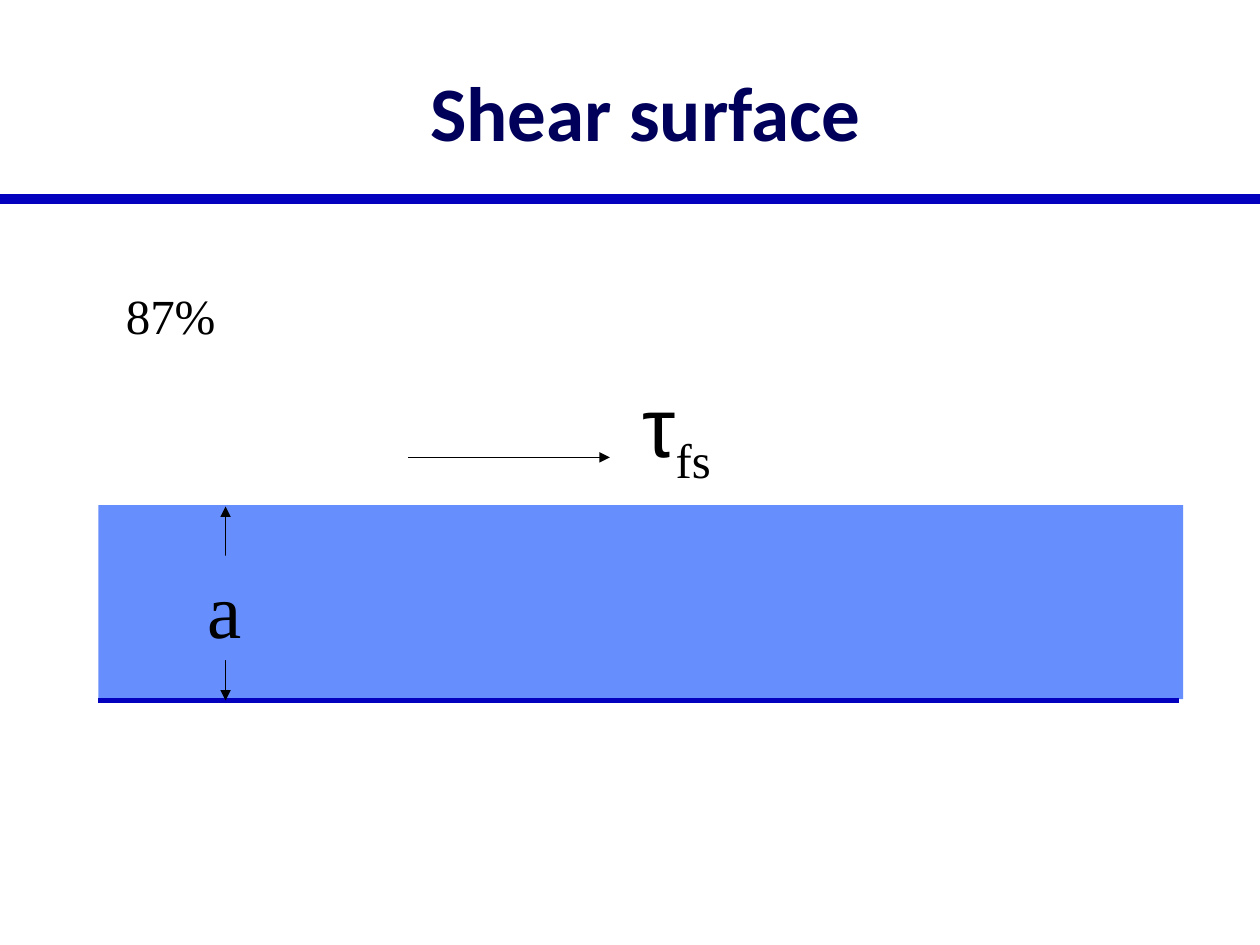
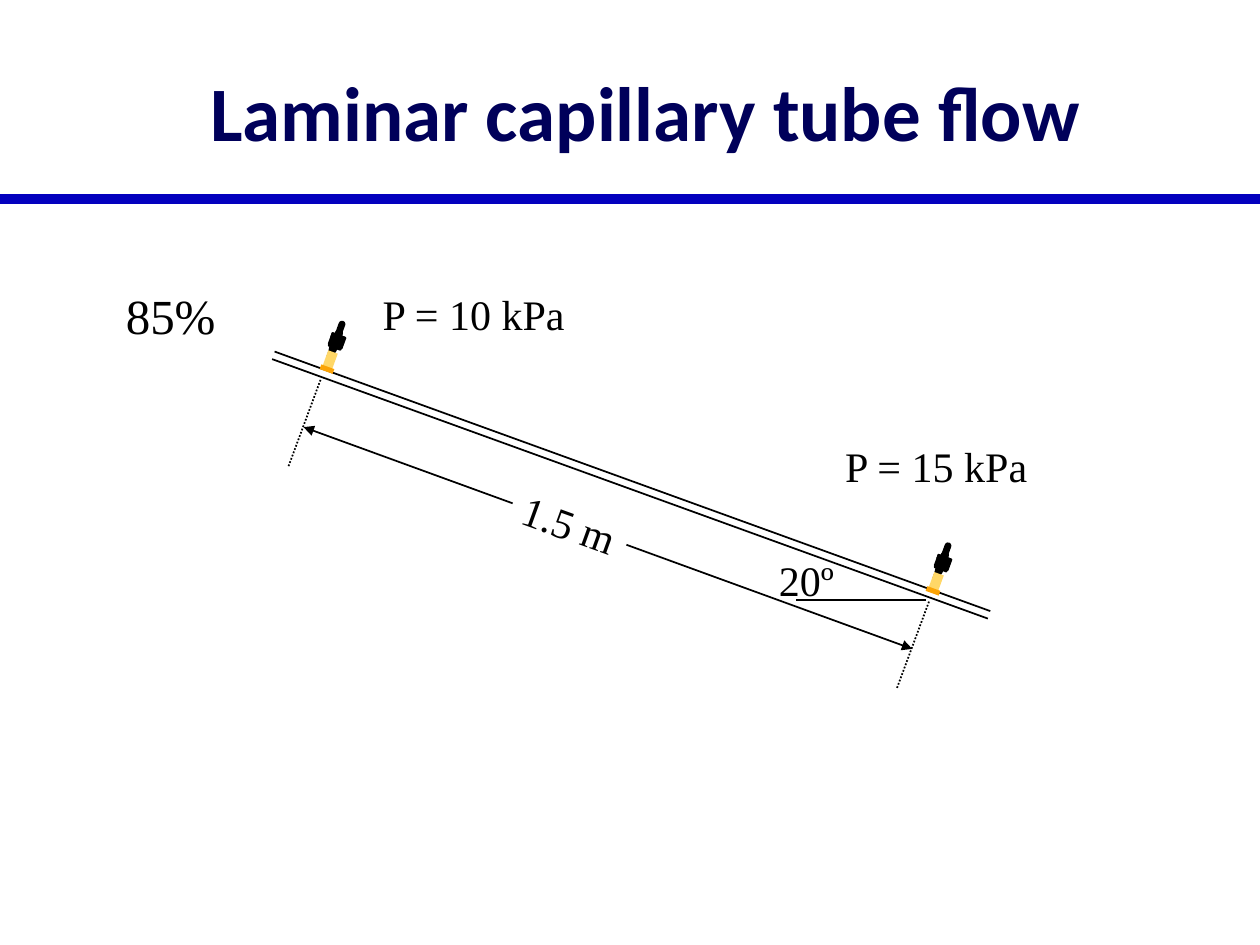
from collections import namedtuple

from lxml import etree
from pptx import Presentation
from pptx.dml.color import RGBColor
from pptx.enum import dml, shapes, text
from pptx.oxml import ns
from pptx.util import Pt

NAVY = RGBColor(0x00, 0x00, 0x5A)
BLUE = RGBColor(0x03, 0x00, 0xBE)
FLUID = RGBColor(0x67, 0x8E, 0xFD)
BLACK = RGBColor(0, 0, 0)
WHITE = RGBColor(255, 255, 255)
YELLOW = RGBColor(0xFF, 0xD7, 0x67)
ORANGE = RGBColor(0xFB, 0xA3, 0x05)

SERIF = "Times New Roman"
SLOPE = 20
RECT = shapes.MSO_SHAPE.RECTANGLE
ROUND = shapes.MSO_SHAPE.ROUNDED_RECTANGLE

Box = namedtuple("Box", "left top width height")
SLIDE = Box(0, 0, 720, 540)
TITLE = Box(36, 18, 666, 90)
SCORE = Box(64.8, 159.8, 65.5, 41)
FILM = Box(56.2, 288.7, 619.9, 110.9)
TUBE = Box(155.5, 161.3, 410.4, 232)

GAUGE_PARTS = [
    (RECT, Box(5.8, 7.9, 7.9, 6.5), BLACK, True),
    (ROUND, Box(5, 13.7, 2.9, 8.6), BLACK, True),
    (RECT, Box(5, 13, 7.2, 2.2), BLACK, True),
    (ROUND, Box(5.8, 12.2, 3.6, 5.8), BLACK, True),
    (ROUND, Box(10.1, 0, 2.9, 8.6), BLACK, True),
    (RECT, Box(6.5, 7.9, 7.2, 2.2), BLACK, True),
    (ROUND, Box(8.6, 5, 3.6, 5.8), BLACK, True),
    (RECT, Box(2.9, 17.3, 5.8, 9.4), YELLOW, False),
    (RECT, Box(0, 25.9, 7.9, 2.9), ORANGE, False),
]


def inside(box, left, top, width=0, height=0):
    """Return a box placed relative to the corner of another box."""
    return Box(box.left + left, box.top + top, width, height)


def add_line(page, box, start, end, color=BLACK, width=1, ends="", dash=None):
    """Draw a line between two points of a box, with arrowheads at the named ends."""
    points = [Pt(origin + offset) for point in (start, end)
              for origin, offset in zip((box.left, box.top), point)]
    line = page.shapes.add_connector(shapes.MSO_CONNECTOR.STRAIGHT, *points)
    line.line.color.rgb = color
    line.line.width = Pt(width)
    if dash:
        line.line.dash_style = dash
    outline = line.line._get_or_add_ln()
    for end_name in ("headEnd", "tailEnd"):
        if end_name in ends:
            etree.SubElement(outline, ns.qn("a:" + end_name), type="triangle")
    etree.SubElement(line._element.spPr, ns.qn("a:effectLst"))


def add_block(page, kind, box, fill, outlined=False, rotation=0):
    """Draw a filled preset shape."""
    block = page.shapes.add_shape(kind, *map(Pt, box))
    block.shadow.inherit = False
    block.rotation = rotation
    block.fill.solid()
    block.fill.fore_color.rgb = fill
    if kind == ROUND:
        block.adjustments[0] = 0.5
    if outlined:
        block.line.color.rgb = fill
        block.line.width = Pt(1)
    else:
        block.line.fill.background()
    return block


def style_span(span, size, font=SERIF, color=BLACK, bold=False):
    """Set the font of a run."""
    span.font.size = Pt(size)
    span.font.name = font
    span.font.color.rgb = color
    span.font.bold = bold


def write(shape, words, size, centred=True, wrap=False, **style):
    """Write one styled paragraph into a shape."""
    frame = shape.text_frame
    frame.text = words
    frame.word_wrap = wrap
    middle, top = text.MSO_ANCHOR.MIDDLE, text.MSO_ANCHOR.TOP
    frame.vertical_anchor = middle if centred else top
    para = frame.paragraphs[0]
    para.alignment = text.PP_ALIGN.CENTER if centred else text.PP_ALIGN.LEFT
    style_span(para.runs[0], size, **style)
    return para


def add_label(page, box, words, size, **style):
    """Add a text box with one paragraph."""
    return write(page.shapes.add_textbox(*map(Pt, box)), words, size, **style)


def add_page(deck, title, score):
    """Add a slide with the shared rule, title and score."""
    page = deck.slides.add_slide(deck.slide_layouts[6])
    add_line(page, SLIDE, (0, 113.8), (SLIDE.width, 113.8), BLUE, 6)
    add_label(page, TITLE, title, 44, wrap=True, font="Calibri", color=NAVY, bold=True)
    add_label(page, SCORE, score, 28, centred=False)
    return page


def draw_film(page, box):
    """Draw the sheared fluid layer with its thickness and surface stress."""
    add_block(page, RECT, box, FLUID)
    add_line(page, box, (0, 111.6), (617.8, 111.6), BLUE, 3)
    add_line(page, box, (72.7, 0.7), (72.7, 111.6), ends="headEnd tailEnd")
    thickness = add_block(page, RECT, inside(box, 48.2, 28.8, 48.2, 59.8), FLUID)
    write(thickness, "a", 44)
    add_line(page, box, (177.1, -27.3), (292.3, -27.3), ends="tailEnd")
    stress = add_label(page, inside(box, 303.8, -78.5, 59, 64.8), "τ", 48,
                       centred=False, font="Arial")
    subscript = stress.add_run()
    subscript.text = "fs"
    style_span(subscript, 48)
    subscript._r.get_or_add_rPr().set("baseline", "-25000")


def draw_gauge(page, box):
    """Draw a tilted pressure gauge."""
    for kind, part, fill, outlined in GAUGE_PARTS:
        add_block(page, kind, inside(box, *part), fill, outlined, SLOPE)


def draw_tube(page, box):
    """Draw the sloping tube with its gauges, length and angle."""
    for left, top in ((1.4, 39.6), (0, 43.9)):
        add_line(page, box, (left, top), (left + 409, top + 148.3))
    for left, top, words in ((55.4, 0, "P = 10 kPa"), (319.7, 87.1, "P = 15 kPa")):
        add_label(page, inside(box, left, top, 119.5, 36), words, 24)
    for left, top in ((9.4, 105.1), (357.1, 231.8)):
        add_line(page, box, (left, top), (left + 18.4, top - 49.7),
                 dash=dml.MSO_LINE.ROUND_DOT)
    add_line(page, box, (18, 82.8), (365.8, 209.5), ends="headEnd tailEnd")
    length = add_block(page, RECT, inside(box, 135.4, 120.2, 69.1, 36), WHITE,
                       rotation=SLOPE)
    write(length, "1.5 m", 24)
    add_line(page, box, (373.7, 181.4), (299.5, 181.4))
    add_label(page, inside(box, 282.2, 151.9, 46.1, 36), "20º", 24)
    for left, top in ((27.4, 22.3), (373.7, 149)):
        draw_gauge(page, inside(box, left, top))


def main():
    """Build and save the deck."""
    deck = Presentation()
    deck.slide_width, deck.slide_height = Pt(SLIDE.width), Pt(SLIDE.height)
    draw_film(add_page(deck, "Shear surface", "87%"), FILM)
    draw_tube(add_page(deck, "Laminar capillary tube flow", "85%"), TUBE)
    deck.save("out.pptx")


if __name__ == "__main__":
    main()
